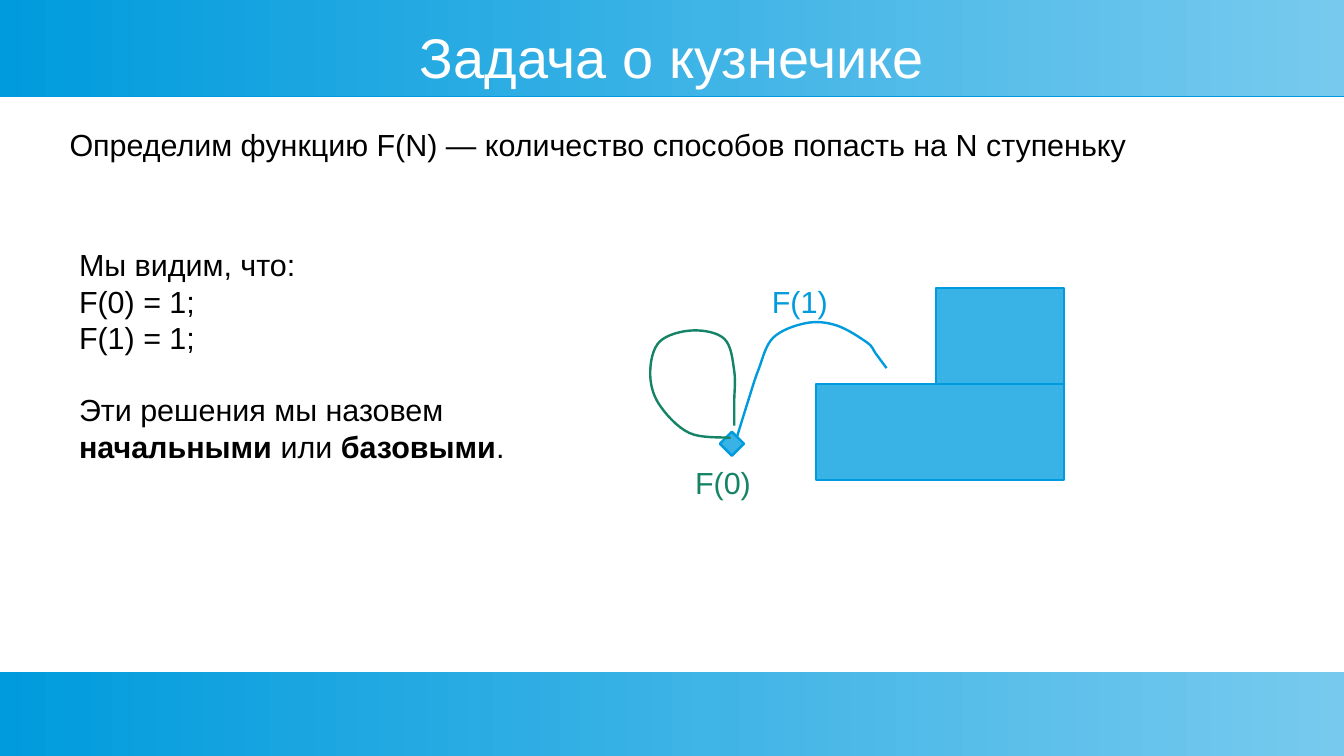
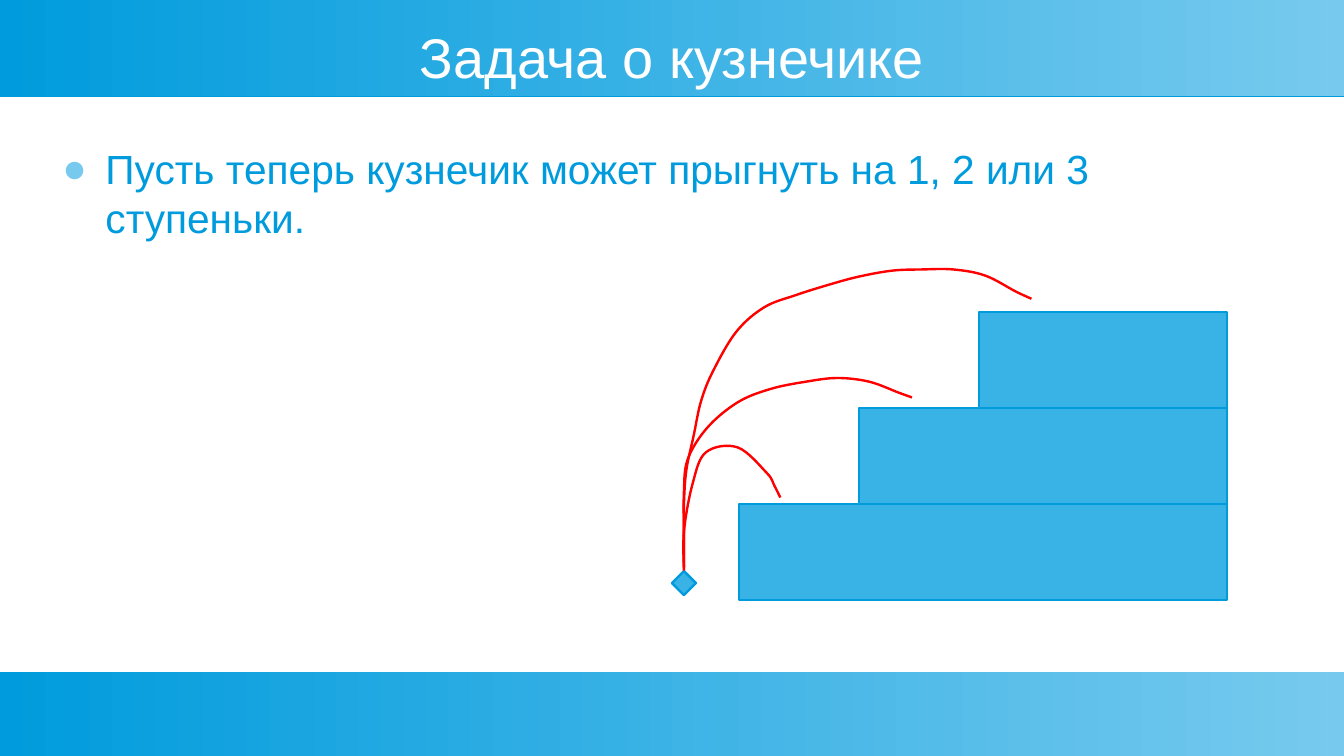
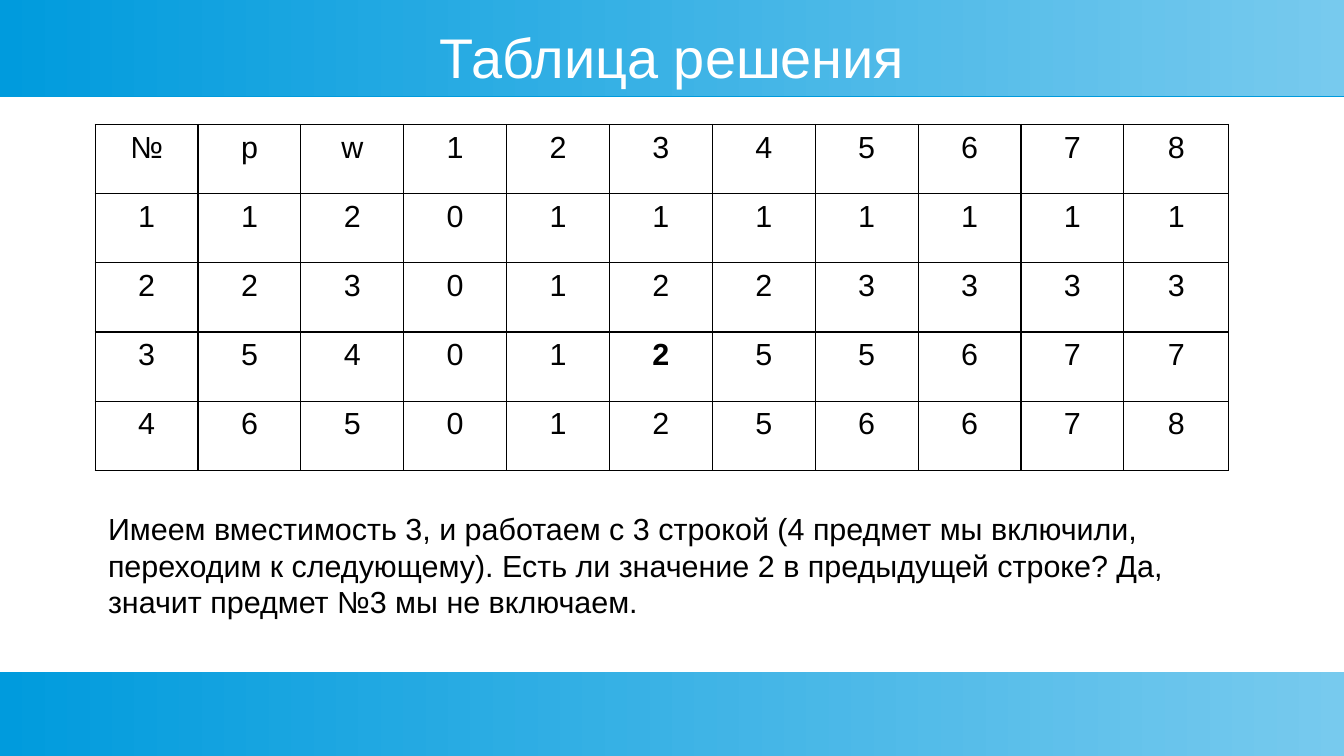
from lxml.etree import SubElement
from pptx import Presentation
from pptx.dml.color import RGBColor
from pptx.enum.shapes import MSO_SHAPE
from pptx.enum.text import MSO_ANCHOR, MSO_AUTO_SIZE, PP_ALIGN
from pptx.oxml.ns import qn
from pptx.util import Pt

SLIDE_W, SLIDE_H = 793.7, 446.4
FONT = "Arial"
BLUE, MID_BLUE, LIGHT_BLUE = "009BDD", "39B2E5", "77CAEE"
GREEN, RED, BLACK, WHITE = "158466", "FF0000", "000000", "FFFFFF"
OUTLINE = 1.42
STEP_HEIGHT, STEP_DEPTH = 56.7, 70.8
GRASSHOPPER_SIZE = 14.2
TITLE_ONLY, TITLE_AND_BODY = 5, 1

# Jump outlines are offsets from the centre of the grasshopper.
JUMP_IN_PLACE = [(-0.7, -3.5), (-25.2, -6.4), (-43.2, -23.7), (-48.2, -42.4),
                 (-42.5, -60.4), (-23, -66.9), (-4.3, -61.8), (1.4, -43.1),
                 (1.4, -24.4), (1.4, -10.7)]
JUMP_TO_FIRST = [(2.9, -3.5), (9.4, -24.4), (15.8, -43.8), (24.5, -62.6),
                 (43.9, -71.2), (61.9, -69.8), (79.9, -59.7), (85, -53.2),
                 (91.4, -44.6)]
JUMPS_UP_TO_THREE = [
    [(0, -7.3), (0, -30.4), (5.1, -58.5), (13, -77.2), (31.7, -80.1),
     (49, -64.9), (53.3, -57.7), (56.9, -50.5)],
    [(0, -9.5), (0, -30.4), (0, -53.4), (2.2, -72.9), (13.7, -91.6),
     (31.7, -106.7), (51.1, -114.6), (72, -118.9), (90.7, -121.1),
     (109.5, -118.9), (126.7, -112.5), (134.7, -109.6)],
    [(0, -8.8), (0, -27.5), (0, -46.9), (1.5, -67.1), (5.8, -87.3),
     (10.1, -107.4), (17.3, -125.4), (31, -148.5), (47.5, -162.9),
     (66.3, -170.1), (84.3, -175.8), (103, -180.9), (123.1, -184.5),
     (140.4, -185.2), (159.1, -185.2), (177.9, -181.6), (195.9, -172.2),
     (205.2, -167.9)],
]
KNAPSACK = [
    "№ p w 1 2 3 4 5 6 7 8",
    "1 1 2 0 1 1 1 1 1 1 1",
    "2 2 3 0 1 2 2 3 3 3 3",
    "3 5 4 0 1 2 5 5 6 7 7",
    "4 6 5 0 1 2 5 6 6 7 8",
]
BOLD_CELL = (3, 5)


def rgb(color):
    return RGBColor.from_string(color)


def box_pt(*lengths):
    return [Pt(length) for length in lengths]


def style_runs(paragraph, size, color):
    for run in paragraph.runs:
        run.font.name, run.font.size = FONT, Pt(size)
        run.font.color.rgb = rgb(color)


def outline(shape, color, fill=None):
    shape.shadow.inherit = False
    shape.line.color.rgb = rgb(color)
    shape.line.width = Pt(OUTLINE)
    if fill:
        shape.fill.solid()
        shape.fill.fore_color.rgb = rgb(fill)
    else:
        shape.fill.background()


def add_master_bands(prs, slide):
    """Draw the two gradient bands and hand them over to the slide master."""
    master_tree = prs.slide_master.shapes.element
    for number, (top, height) in enumerate([(0, 56.7), (396.8, 49.6)]):
        band = slide.shapes.add_shape(MSO_SHAPE.RECTANGLE, *box_pt(0, top, SLIDE_W, height))
        band.fill.gradient()
        band.fill.gradient_angle = 180
        for stop, color in zip(band.fill.gradient_stops, (LIGHT_BLUE, BLUE)):
            stop.color.rgb = rgb(color)
        band.line.fill.background()
        band.shadow.inherit = False
        effects = band.element.spPr.find(qn("a:effectLst"))
        shadow = SubElement(effects, qn("a:outerShdw"), blurRad="0", dist="11430",
                            dir="5400000", algn="ctr", rotWithShape="0")
        SubElement(shadow, qn("a:srgbClr"), val=BLUE)
        band.element.nvSpPr.cNvPr.set("id", str(100 + number))
        master_tree.insert(2 + number, band.element)


def fill_placeholder(placeholder, box, text, size, color, anchor):
    placeholder.left, placeholder.top, placeholder.width, placeholder.height = box_pt(*box)
    frame = placeholder.text_frame
    frame.text = text
    frame.auto_size = MSO_AUTO_SIZE.NONE
    frame.vertical_anchor = anchor
    frame.margin_left = frame.margin_right = frame.margin_top = frame.margin_bottom = 0
    paragraph = frame.paragraphs[0]
    paragraph.space_before = Pt(0)
    style_runs(paragraph, size, color)
    return paragraph


def add_titled_slide(prs, layout, title):
    slide = prs.slides.add_slide(prs.slide_layouts[layout])
    heading = fill_placeholder(slide.shapes.title, (28.3, 14.4, 737.3, 37.4), title,
                               33, WHITE, MSO_ANCHOR.MIDDLE)
    heading.alignment = PP_ALIGN.CENTER
    return slide


def add_bullet(slide, box, text):
    item = fill_placeholder(slide.placeholders[1], box, text, 24, BLUE, MSO_ANCHOR.TOP)
    properties = item._p.get_or_add_pPr()
    properties.set("marL", str(Pt(34)))
    properties.set("indent", str(Pt(-25.5)))
    SubElement(SubElement(properties, qn("a:buClr")), qn("a:srgbClr"), val=LIGHT_BLUE)
    SubElement(properties, qn("a:buSzPct"), val="100000")
    SubElement(properties, qn("a:buFont"), typeface=FONT)
    SubElement(properties, qn("a:buChar"), char="●")


def add_text(slide, box, text, color=BLACK, wrap=True):
    frame = slide.shapes.add_textbox(*box_pt(*box)).text_frame
    frame.word_wrap = wrap
    frame.text = text
    for paragraph in frame.paragraphs:
        style_runs(paragraph, 18, color)
    return frame


def add_staircase(slide, right, top, top_width, steps):
    for step in range(steps):
        width = top_width + step * STEP_DEPTH
        stair = slide.shapes.add_shape(
            MSO_SHAPE.RECTANGLE,
            *box_pt(right - width, top + step * STEP_HEIGHT, width, STEP_HEIGHT))
        outline(stair, BLUE, MID_BLUE)


def add_grasshopper(slide, center):
    x, y = (value - GRASSHOPPER_SIZE / 2 for value in center)
    grasshopper = slide.shapes.add_shape(
        MSO_SHAPE.DIAMOND, *box_pt(x, y, GRASSHOPPER_SIZE, GRASSHOPPER_SIZE))
    outline(grasshopper, BLUE, MID_BLUE)


def add_jump(slide, center, offsets, color):
    """Draw a smooth curve through the offsets from the center."""
    points = [(Pt(center[0] + dx), Pt(center[1] + dy)) for dx, dy in offsets]
    builder = slide.shapes.build_freeform(*points[0])
    builder.add_line_segments(points[1:], close=False)
    jump = builder.convert_to_shape()
    outline(jump, color)

    knots = [(int(pt.get("x")), int(pt.get("y"))) for pt in jump.element.iter(qn("a:pt"))]
    padded = [knots[0], *knots, knots[-1]]
    segments = list(jump.element.iter(qn("a:lnTo")))
    for segment, before, start, end, after in zip(
            segments, padded, padded[1:], padded[2:], padded[3:]):
        curve = segment.getparent().makeelement(qn("a:cubicBezTo"))
        leaving = [s + (e - b) / 6 for b, s, e in zip(before, start, end)]
        arriving = [e - (a - s) / 6 for s, e, a in zip(start, end, after)]
        for x, y in (leaving, arriving, end):
            SubElement(curve, qn("a:pt"), x=str(round(x)), y=str(round(y)))
        segment.getparent().replace(segment, curve)


def add_first_jumps(slide, center):
    x, y = center
    add_grasshopper(slide, center)
    for offsets, color, label, dx, dy in [
            (JUMP_IN_PLACE, GREEN, "F(0)", -28.8, 8.7),
            (JUMP_TO_FIRST, BLUE, "F(1)", 16.6, -98.6)]:
        add_jump(slide, center, offsets, color)
        add_text(slide, (x + dx, y + dy, 47.5, 27.4), label, color, wrap=False)


def add_base_cases(slide, box):
    frame = add_text(slide, box, "Мы видим, что:\nF(0) = 1;\nF(1) = 1;")
    conclusion = frame.add_paragraph()
    conclusion.space_before = Pt(21)
    for text, bold in [("Эти решения мы назовем ", False), ("начальными", True),
                       (" или ", False), ("базовыми", True), (".", False)]:
        run = conclusion.add_run()
        run.text = text
        run.font.bold = bold
    style_runs(conclusion, 18, BLACK)


def add_cell_borders(cell):
    properties = cell._tc.get_or_add_tcPr()
    for position, side in enumerate(("a:lnL", "a:lnR", "a:lnT", "a:lnB")):
        border = properties.makeelement(qn(side), w=str(Pt(0.75)))
        fill = SubElement(border, qn("a:solidFill"))
        SubElement(fill, qn("a:srgbClr"), val=BLACK)
        properties.insert(position, border)


def add_knapsack_table(slide, left, top):
    rows = [line.split() for line in KNAPSACK]
    widths = [60.75] * (len(rows[0]) - 1) + [62]
    row_height = 40.9
    table = slide.shapes.add_table(
        len(rows), len(widths),
        *box_pt(left, top, sum(widths), row_height * len(rows))).table
    table.first_row = table.horz_banding = False
    for column, width in zip(table.columns, widths):
        column.width = Pt(width)
    for r, values in enumerate(rows):
        table.rows[r].height = Pt(row_height)
        for c, value in enumerate(values):
            cell = table.cell(r, c)
            cell.margin_left = cell.margin_right = Pt(3)
            cell.fill.background()
            add_cell_borders(cell)
            paragraph = cell.text_frame.paragraphs[0]
            paragraph.text = value
            paragraph.alignment = PP_ALIGN.CENTER
            style_runs(paragraph, 18, BLACK)
            paragraph.runs[0].font.bold = (r, c) == BOLD_CELL


def main():
    prs = Presentation()
    prs.slide_width, prs.slide_height = box_pt(SLIDE_W, SLIDE_H)

    base = add_titled_slide(prs, TITLE_ONLY, "Задача о кузнечике")
    add_master_bands(prs, base)
    add_staircase(base, right=628.4, top=170, top_width=75.6, steps=2)
    add_text(base, (34, 70.9, 703, 47.5),
             "Определим функцию F(N) — количество способов попасть на N ступеньку")
    add_first_jumps(base, (432.2, 262))
    add_base_cases(base, (39.6, 141.8, 297.4, 148.3))

    three_steps = add_titled_slide(prs, TITLE_AND_BODY, "Задача о кузнечике")
    add_bullet(three_steps, (28.3, 85, 737.3, 56.9),
               "Пусть теперь кузнечик может прыгнуть на 1, 2 или 3 ступеньки.")
    add_staircase(three_steps, right=724.6, top=184.2, top_width=146.4, steps=3)
    center = (403.9, 344.3)
    add_grasshopper(three_steps, center)
    for offsets in JUMPS_UP_TO_THREE:
        add_jump(three_steps, center, offsets, RED)

    solution = add_titled_slide(prs, TITLE_ONLY, "Таблица решения")
    add_knapsack_table(solution, 56.2, 73.4)
    add_text(solution, (56.7, 297.6, 666, 67.7),
             "Имеем вместимость 3, и работаем с 3 строкой (4 предмет мы включили, "
             "переходим к следующему). Есть ли значение 2 в предыдущей строке? Да, "
             "значит предмет №3 мы не включаем.")

    prs.save("out.pptx")


if __name__ == "__main__":
    main()
